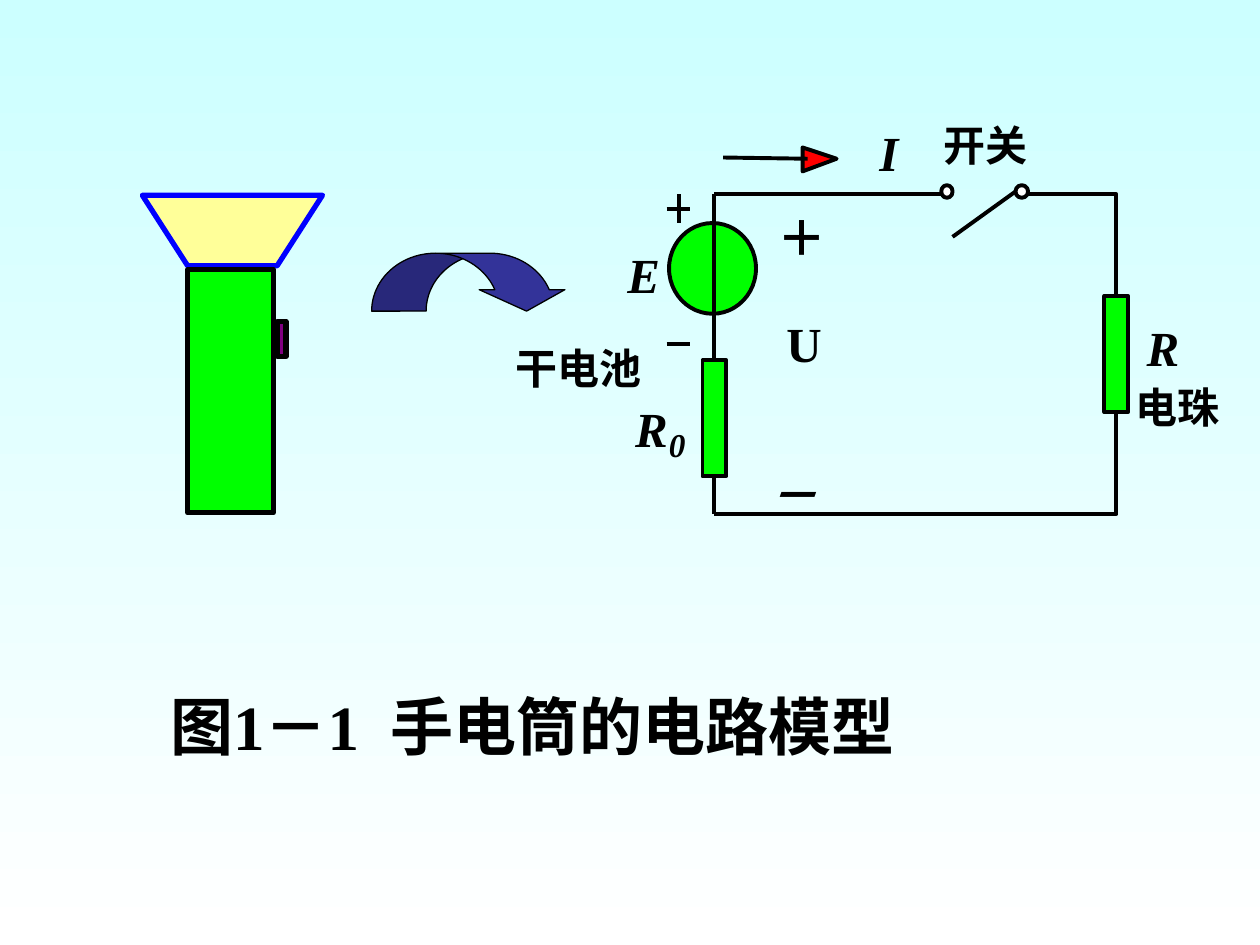
from lxml import etree
from pptx import Presentation
from pptx import util as u
from pptx.dml.color import RGBColor
from pptx.enum import shapes, text
from pptx.oxml import ns

BLACK = RGBColor(0, 0, 0)
WHITE = RGBColor(255, 255, 255)
SKY = RGBColor(0xCC, 0xFF, 0xFF)
GREEN = RGBColor(0, 255, 0)
RED = RGBColor(255, 0, 0)
BLUE = RGBColor(0, 0, 255)
YELLOW = RGBColor(0xFF, 0xFF, 0x99)
PURPLE = RGBColor(0x80, 0, 0x80)
INDIGO = RGBColor(0x33, 0x33, 0x99)

LATIN, HAN = "Times New Roman", "Noto Sans CJK SC"
COLUMNS, ROWS = 100, 75
WIRE = 2.25

LEFT, RIGHT, TOP, BOTTOM = 56.7, 88.6, 15.4, 40.8
RESISTOR = (1.9, 9.2)
STUB = 3

TITLE = ("图1－1  手电筒的电路模型", (12.5, 54.1, 74.2, 7))
LABELS = [
    ("U", 62.4, 24.9, 2.8, 28, LATIN, False),
    ("I", 69.8, 9.7, 1.5, 28, LATIN, True),
    ("开关", 74.9, 9.5, 6.7, 24, HAN, False),
    ("E", 49.8, 19.4, 2.6, 28, LATIN, True),
    ("＋", 61.7, 16.5, 3.9, 28, HAN, False),
    ("－", 60.9, 36.9, 3.9, 28, HAN, True),
    ("R", 50.4, 31.6, 2.6, 28, LATIN, True),
    ("0", 53.1, 33.7, 1.3, 19, LATIN, True),
    ("R", 91, 25.2, 2.6, 28, LATIN, True),
    ("干电池", 40.9, 27.2, 10, 24, HAN, False),
    ("电珠", 90.1, 30.3, 6.7, 24, HAN, False),
]
TORCH_HEAD = [(11.3, 15.5), (14.9, 21.1), (22, 21.1), (25.6, 15.5)]
CURRENT_HEAD = [(63.7, 11.7), (66.4, 12.6), (63.7, 13.6)]
BODY = (14.9, 21.4, 6.8, 19.3)
BUTTON = (22, 25.5, 0.7, 2.8)
MODEL_ARROW = (29.5, 20.1, 15.7, 4.6)
MODEL_ARROW_SHARES = (0.94, 1.48, 0.37)
BATTERY = (53.1, 17.7, 6.9, 7.2)
CONTACTS = [(74.7, 14.7, 0.9, 1), (80.6, 14.7, 1, 1)]
RESISTORS = [(LEFT, 28.6), (RIGHT, 23.5)]
WIRES = [
    ((LEFT, TOP), (LEFT, 27.3)),
    ((52.9, 16.6), (54.8, 16.6)),
    ((53.9, TOP), (53.9, 17.7)),
    ((52.9, 27.3), (54.8, 27.3)),
    ((LEFT, TOP), (74.8, TOP)),
    ((81.7, TOP), (85.7, TOP)),
    ((80.6, 15.2), (75.6, 18.8)),
]
CORNERS = [
    [(84.3, TOP), (RIGHT, TOP), (RIGHT, 22.2)],
    [(LEFT, BOTTOM), (RIGHT, BOTTOM), (RIGHT, 34)],
]
CURRENT = ((64.1, 12.6), (57.4, 12.5))

presentation = Presentation()
presentation.slide_width, presentation.slide_height = u.Inches(10), u.Inches(7.5)
slide = presentation.slides.add_slide(presentation.slide_layouts[5])


def x(column):
    return round(presentation.slide_width * column / COLUMNS)


def y(row):
    return round(presentation.slide_height * row / ROWS)


def place(box):
    left, top, width, height = box
    return x(left), y(top), x(width), y(height)


def style(shape, fill, line=BLACK, weight=WIRE):
    shape.shadow.inherit = False
    if fill is None:
        shape.fill.background()
    else:
        shape.fill.solid()
        shape.fill.fore_color.rgb = fill
    shape.line.color.rgb = line
    shape.line.width = u.Pt(weight)
    return shape


def add_preset(kind, box, fill, weight=WIRE):
    return style(slide.shapes.add_shape(kind, *place(box)), fill, weight=weight)


def add_outline(points, fill=None, line=BLACK, weight=WIRE):
    corners = [(x(column), y(row)) for column, row in points]
    builder = slide.shapes.build_freeform(*corners[0])
    builder.add_line_segments(corners[1:], close=fill is not None)
    return style(builder.convert_to_shape(), fill, line, weight)


def add_wire(start, end):
    wire = slide.shapes.add_connector(
        shapes.MSO_CONNECTOR.STRAIGHT, x(start[0]), y(start[1]), x(end[0]), y(end[1]))
    wire.line.color.rgb = BLACK
    wire.line.width = u.Pt(WIRE)
    etree.SubElement(wire._element.spPr, ns.qn("a:effectLst"))
    return wire


def write(frame, words, size, font, italic=False):
    paragraph = frame.paragraphs[0]
    paragraph.alignment = text.PP_ALIGN.LEFT
    paragraph.space_before = u.Pt(0)
    run = paragraph.add_run()
    run.text = words
    run.font.size = u.Pt(size)
    run.font.name = font
    run.font.bold = True
    run.font.italic = italic
    run.font.color.rgb = BLACK
    east_asian = etree.SubElement(run.font._element, ns.qn("a:ea"))
    east_asian.set("typeface", HAN)


def add_label(words, left, top, width, size, font, italic):
    label = slide.shapes.add_textbox(*place((left, top, width, size / 6)))
    frame = label.text_frame
    frame.margin_left = frame.margin_right = frame.margin_top = frame.margin_bottom = 0
    frame.word_wrap = False
    write(frame, words, size, font, italic)


def add_resistor(axis, top):
    width, height = RESISTOR
    resistor = add_preset(shapes.MSO_SHAPE.RECTANGLE,
                          (axis - width / 2, top, width, height), GREEN)
    bottom = top + height
    add_wire((axis, top), (axis, top - STUB)).begin_connect(resistor, 0)
    add_wire((axis, bottom), (axis, bottom + STUB)).begin_connect(resistor, 2)


background = slide.background.fill
background.gradient()
background.gradient_angle = 270
for stop, colour in zip(background.gradient_stops, (SKY, WHITE)):
    stop.color.rgb = colour

title = slide.shapes.title
title.left, title.top, title.width, title.height = place(TITLE[1])
title.text_frame.word_wrap = True
title.text_frame.auto_size = text.MSO_AUTO_SIZE.NONE
title.text_frame.vertical_anchor = text.MSO_ANCHOR.TOP
write(title.text_frame, TITLE[0], 36, LATIN)

model_arrow = add_preset(shapes.MSO_SHAPE.CURVED_DOWN_ARROW, MODEL_ARROW, INDIGO, 0.75)
for index, share in enumerate(MODEL_ARROW_SHARES):
    model_arrow.adjustments[index] = share

add_outline(TORCH_HEAD, YELLOW, BLUE, 3)
add_preset(shapes.MSO_SHAPE.RECTANGLE, BODY, GREEN, 3)
add_preset(shapes.MSO_SHAPE.RECTANGLE, BUTTON, PURPLE, 3)

add_preset(shapes.MSO_SHAPE.OVAL, BATTERY, GREEN)
for start, end in WIRES:
    add_wire(start, end)
for corner in CORNERS:
    add_outline(corner)
for axis, top in RESISTORS:
    add_resistor(axis, top)
for contact in CONTACTS:
    add_preset(shapes.MSO_SHAPE.OVAL, contact, WHITE)
for label in LABELS:
    add_label(*label)
add_outline(CURRENT_HEAD, RED)
add_wire(*CURRENT)

presentation.save("out.pptx")
